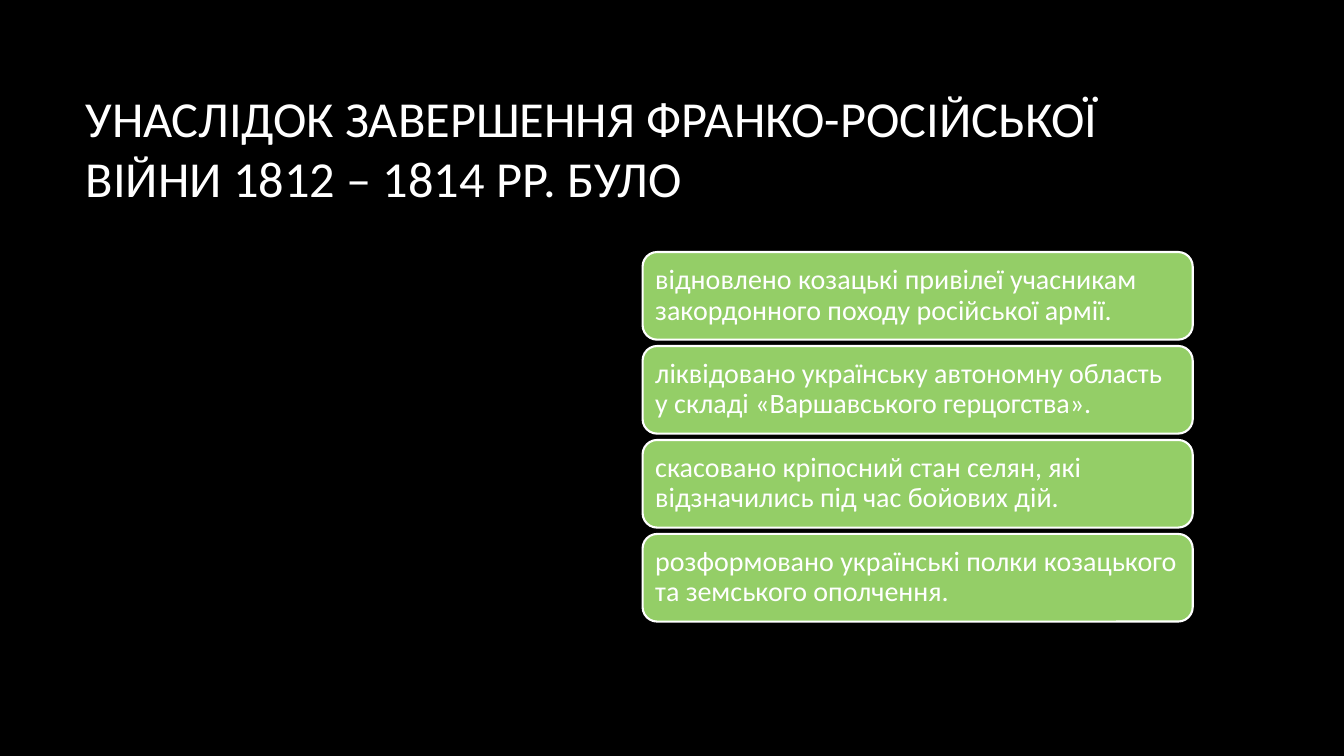
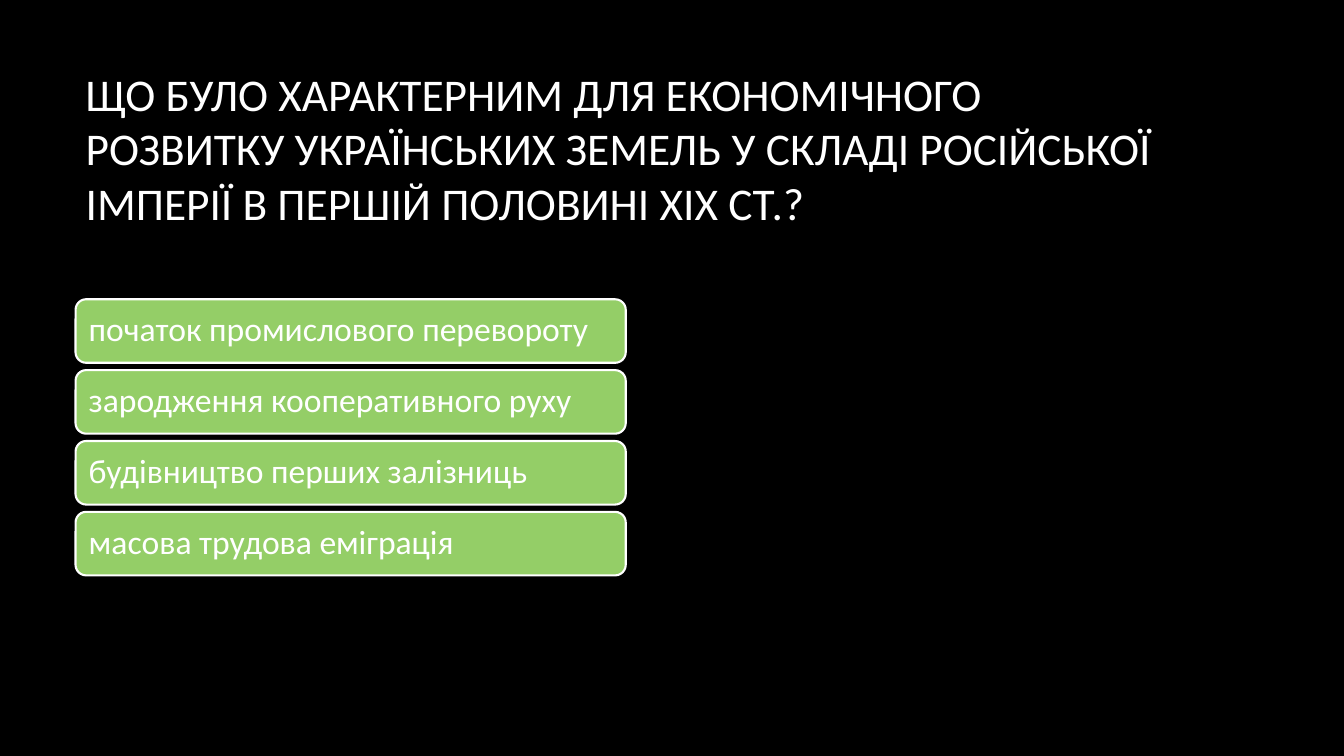
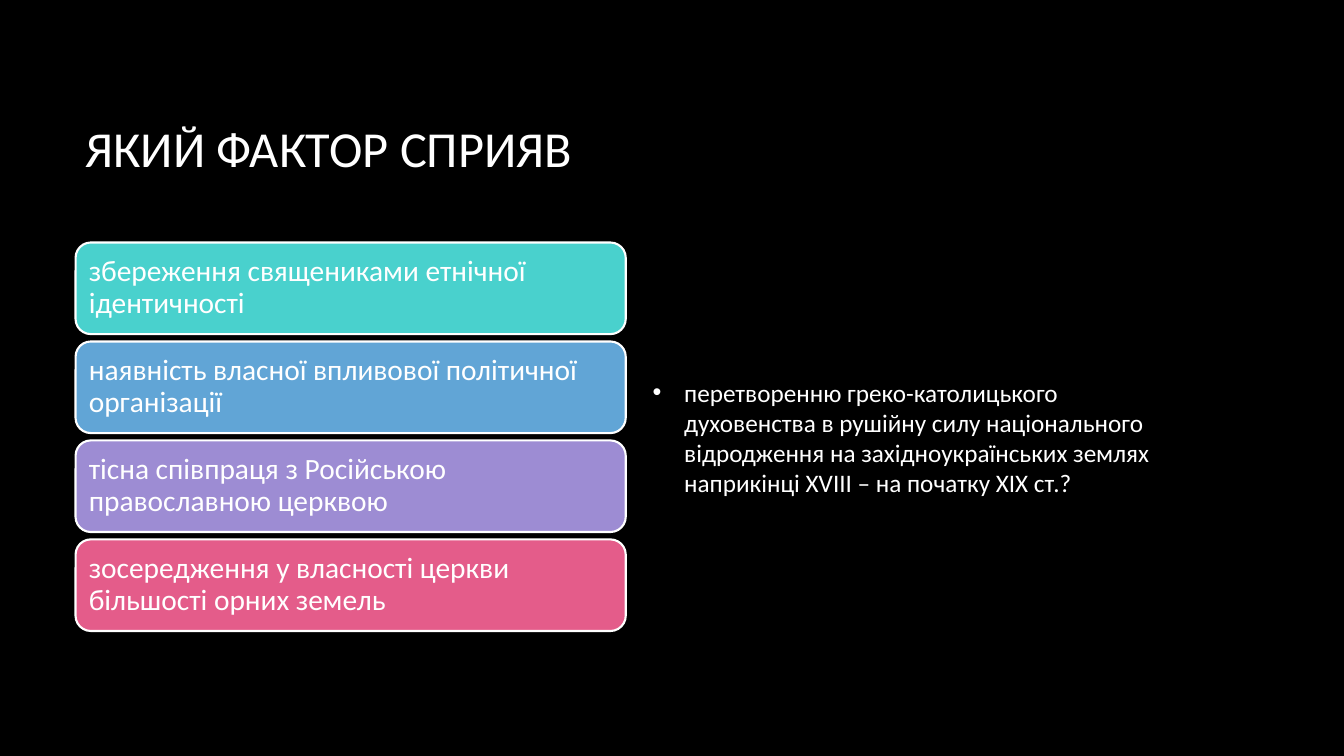
from pptx import Presentation
from pptx.dml.color import RGBColor
from pptx.enum.shapes import MSO_SHAPE
from pptx.enum.text import MSO_ANCHOR, MSO_AUTO_SIZE, PP_ALIGN
from pptx.util import Emu, Pt

FONT = "Calibri"
BLACK, WHITE, GREEN = "000000", "FFFFFF", "94CE67"
TEAL, BLUE, VIOLET, PINK = "49D1CD", "61A5D6", "9D8CD3", "E45C8A"
TITLE_AND_CONTENT, TITLE_ONLY = 1, 5
TITLE_BOX = (72, 64, 1064, 153)
LEFT_COLUMN, RIGHT_COLUMN, COLUMN_WIDTH = 72, 612, 524


def px(length):
    """Turn pixels into EMU."""
    return Emu(round(length * 9525))


def colour(hex_string):
    """Turn a hex string into a colour."""
    return RGBColor.from_string(hex_string)


def place(part, box):
    """Move a part to a box given in px."""
    part.left, part.top, part.width, part.height = map(px, box)


def write(part, text, size, line_spacing=1.0, space_after=0, inset=None, hanging=0):
    """Fill a part with one formatted, left-aligned paragraph."""
    frame = part.text_frame
    frame.text = text
    frame.word_wrap = True
    frame.auto_size = MSO_AUTO_SIZE.NONE
    frame.vertical_anchor = MSO_ANCHOR.MIDDLE
    if inset is not None:
        frame.margin_left = frame.margin_right = inset
        frame.margin_top = frame.margin_bottom = inset
    paragraph = frame.paragraphs[0]
    if hanging:
        properties = paragraph._p.get_or_add_pPr()
        properties.set("marL", str(px(hanging)))
        properties.set("indent", str(-px(hanging)))
    paragraph.alignment = PP_ALIGN.LEFT
    paragraph.line_spacing = line_spacing
    paragraph.space_before = Pt(0)
    paragraph.space_after = Pt(space_after)
    font = paragraph.runs[0].font
    font.name, font.size = FONT, Pt(size)
    font.color.rgb = colour(WHITE)


def add_question(deck, question, size=36, layout=TITLE_ONLY):
    """Add a slide headed by its question."""
    slide = deck.slides.add_slide(deck.slide_layouts[layout])
    place(slide.shapes.title, TITLE_BOX)
    write(slide.shapes.title, question, size)
    return slide


def add_answers(slide, box, answers, fills, size, gap):
    """Stack equal answer bars with equal gaps inside a box."""
    left, top, width, height = box
    bar_height = (height - gap * (len(answers) - 1)) / len(answers)
    for row, (answer, fill) in enumerate(zip(answers, fills)):
        bar = slide.shapes.add_shape(MSO_SHAPE.ROUNDED_RECTANGLE, 0, 0, 0, 0)
        place(bar, (left, top + row * (bar_height + gap), width, bar_height))
        bar.shadow.inherit = False
        bar.fill.solid()
        bar.fill.fore_color.rgb = colour(fill)
        bar.line.color.rgb = colour(WHITE)
        bar.line.width = Pt(1.5)
        write(bar, answer, size, line_spacing=0.9, inset=Pt(size * 0.3))


def add_continuation(slide, box, text):
    """Set the rest of the question as a bulleted list in a box."""
    body = slide.placeholders[1]
    place(body, box)
    write(body, text, 18, space_after=10, hanging=30)


def main():
    """Build and save the deck."""
    deck = Presentation()
    deck.slide_width, deck.slide_height = px(1280), px(720)
    background = deck.slide_master.background.fill
    background.solid()
    background.fore_color.rgb = colour(BLACK)

    war = add_question(deck, "УНАСЛІДОК ЗАВЕРШЕННЯ ФРАНКО-РОСІЙСЬКОЇ ВІЙНИ 1812 – 1814 РР. БУЛО")
    add_answers(war, (RIGHT_COLUMN, 240, COLUMN_WIDTH, 352), [
        "відновлено козацькі привілеї учасникам закордонного походу російської армії.",
        "ліквідовано українську автономну область у складі «Варшавського герцогства».",
        "скасовано кріпосний стан селян, які відзначились під час бойових дій.",
        "розформовано українські полки козацького та земського ополчення.",
    ], [GREEN] * 4, size=20, gap=6)

    economy = add_question(
        deck,
        "ЩО БУЛО ХАРАКТЕРНИМ ДЛЯ ЕКОНОМІЧНОГО РОЗВИТКУ УКРАЇНСЬКИХ ЗЕМЕЛЬ "
        "У СКЛАДІ РОСІЙСЬКОЇ ІМПЕРІЇ В ПЕРШІЙ ПОЛОВИНІ ХІХ СТ.?",
        size=32.4)
    add_answers(economy, (LEFT_COLUMN, 285, COLUMN_WIDTH, 263), [
        "початок промислового перевороту",
        "зародження кооперативного руху",
        "будівництво перших залізниць",
        "масова трудова еміграція",
    ], [GREEN] * 4, size=24, gap=7)

    clergy = add_question(deck, "ЯКИЙ ФАКТОР СПРИЯВ", layout=TITLE_AND_CONTENT)
    add_answers(clergy, (LEFT_COLUMN, 231, COLUMN_WIDTH, 370), [
        "збереження священиками етнічної ідентичності",
        "наявність власної впливової політичної організації",
        "тісна співпраця з Російською православною церквою",
        "зосередження у власності церкви більшості орних земель",
    ], [TEAL, BLUE, VIOLET, PINK], size=21, gap=7)
    add_continuation(
        clergy, (RIGHT_COLUMN, 225, COLUMN_WIDTH, 383),
        "перетворенню греко-католицького духовенства в рушійну силу національного "
        "відродження на західноукраїнських землях наприкінці XVIII – на початку XIX ст.?")

    deck.save("out.pptx")


if __name__ == "__main__":
    main()
